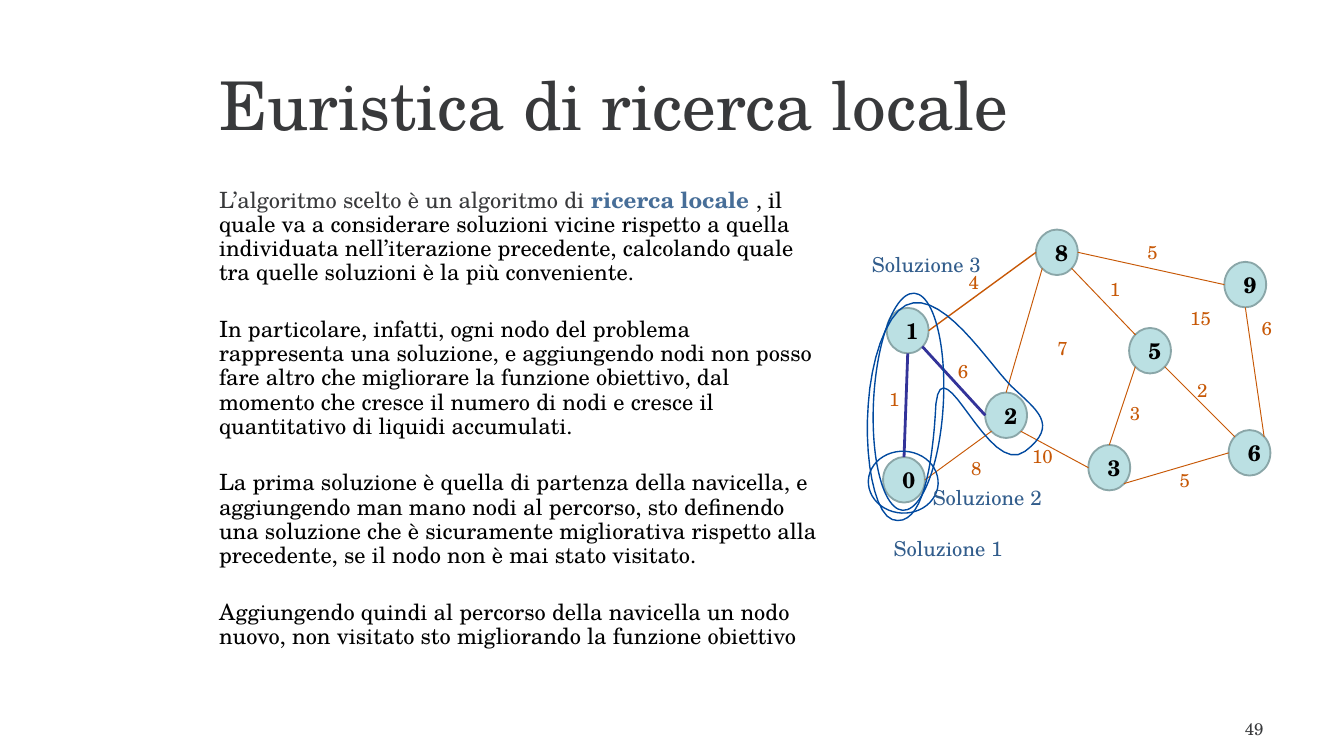
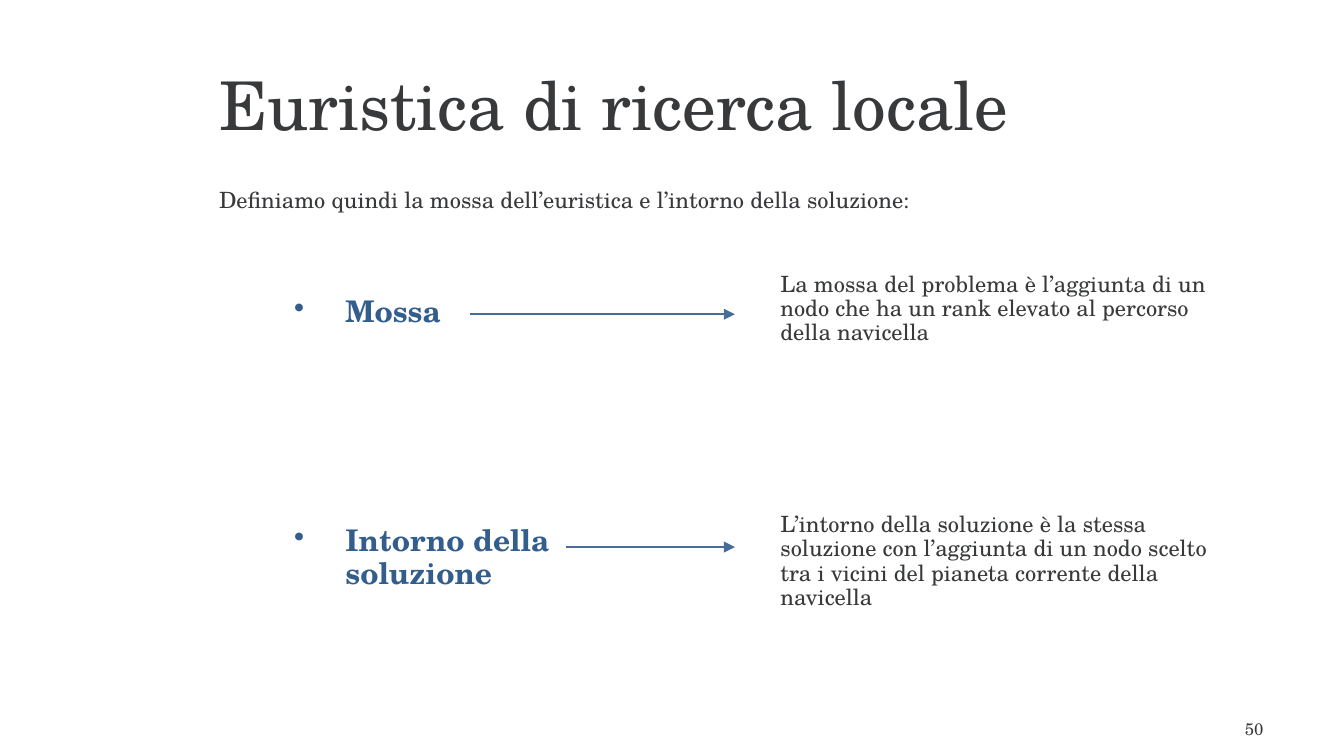
from collections import namedtuple

from lxml import etree
from pptx import Presentation
from pptx.dml.color import RGBColor
from pptx.enum.shapes import MSO_CONNECTOR, MSO_SHAPE
from pptx.enum.text import MSO_ANCHOR, PP_ALIGN
from pptx.oxml.ns import qn
from pptx.util import Cm, Pt

FONT = "TeX Gyre Schola"
GREY, BLACK, BLUE, NAVY = "38393B", "000000", "476E98", "325D8C"
ORANGE, VIOLET, OUTLINE = "C75806", "333399", "00499F"
NODE_FILL, NODE_LINE = "BBE0E3", "8AA6A8"

Style = namedtuple("Style", "size color bold", defaults=(False,))
TITLE = Style(36, GREY)
NUMBER = Style(9, GREY)
BODY = Style(12, GREY)
BODY_BLACK = Style(12, BLACK)
BODY_KEY = Style(12, BLUE, True)
NODE = Style(12, BLACK, True)
WEIGHT = Style(10, ORANGE)
SOLUTION = Style(11, NAVY)
TERM = Style(16, NAVY, True)

NODE_WIDTH, NODE_HEIGHT = 0.79, 0.86
NODES = {
    "0": (16.69, 8.64), "2": (18.62, 7.42), "3": (20.57, 8.41), "5": (21.34, 6.2),
    "9": (23.14, 4.95), "8": (19.58, 4.34), "1": (16.76, 5.82), "6": (23.22, 8.13),
}
NEAR, FAR = 0.15, 0.85
SITES = {
    "top": (0.5, 0), "left": (0, 0.5), "bottom": (0.5, 1), "right": (1, 0.5),
    "top left": (NEAR, NEAR), "top right": (FAR, NEAR),
    "bottom left": (NEAR, FAR), "bottom right": (FAR, FAR),
}
EDGES = [
    ("0", "top", "1", "bottom", VIOLET, 1.5),
    ("1", "bottom right", "2", "left", VIOLET, 1.5),
    ("8", "left", "1", "right", ORANGE, 0.75),
    ("0", "right", "2", "bottom left", ORANGE, 0.5),
    ("6", "top left", "5", "bottom right", ORANGE, 0.5),
    ("2", "bottom right", "3", "left", ORANGE, 0.5),
    ("8", "bottom left", "2", "top", ORANGE, 0.5),
    ("6", "top right", "9", "bottom", ORANGE, 0.5),
    ("8", "bottom right", "5", "top left", ORANGE, 0.5),
    ("3", "bottom right", "6", "left", ORANGE, 0.5),
    ("8", "right", "9", "left", ORANGE, 0.5),
    ("3", "top", "5", "bottom left", ORANGE, 0.5),
]
WEIGHTS = [
    ("1", 16.9, 7.26), ("5", 21.78, 4.47), ("10", 19.7, 8.33), ("8", 18.45, 8.56),
    ("7", 20.08, 6.3), ("3", 21.45, 7.52), ("2", 22.72, 7.09), ("1", 21.07, 5.18),
    ("6", 23.94, 5.92), ("15", 22.69, 5.72), ("4", 18.4, 5.05), ("5", 22.39, 8.79),
    ("6", 18.2, 6.73),
]
SOLUTIONS = [
    ("Soluzione 1", 17.92, 10.06), ("Soluzione 2", 18.66, 9.09), ("Soluzione 3", 17.51, 4.7),
]
SOLUTION_ELLIPSES = [(16.51, 5.54, 1.32, 4.11), (16.41, 8.53, 1.32, 1.17)]
SOLUTION_TILT = 3
SOLUTION_START = (16.76, 6.1)
SOLUTION_CURVES = [
    ((17.37, 5.03), (18.57, 6.78), (19.08, 7.24)),
    ((19.58, 7.67), (20.04, 7.92), (19.41, 8.46)),
    ((18.75, 9.02), (17.75, 6.5), (17.68, 7.65)),
    ((17.68, 8.84), (17.55, 10.03), (16.97, 9.88)),
    ((16.41, 9.7), (16.13, 7.19), SOLUTION_START),
]
CURVE_STEPS = 16

LOCAL_SEARCH = [
    [
        ("L’algoritmo scelto è un algoritmo di ", BODY),
        ("ricerca locale ", BODY_KEY),
        (", il quale va a considerare soluzioni vicine rispetto a quella individuata "
         "nell’iterazione precedente, calcolando quale tra quelle soluzioni è la più "
         "conveniente.", BODY_BLACK),
    ],
    [("In particolare, infatti, ogni nodo del problema rappresenta una soluzione, e "
      "aggiungendo nodi non posso fare altro che migliorare la funzione obiettivo, dal "
      "momento che cresce il numero di nodi e cresce il quantitativo di liquidi "
      "accumulati.", BODY_BLACK)],
    [("La prima soluzione è quella di partenza della navicella, e aggiungendo man mano "
      "nodi al percorso, sto definendo una soluzione che è sicuramente migliorativa "
      "rispetto alla precedente, se il nodo non è mai stato visitato.", BODY_BLACK)],
    [("Aggiungendo quindi al percorso della navicella un nodo nuovo, non visitato sto "
      "migliorando la funzione obiettivo", BODY_BLACK)],
]
DEFINITIONS = [
    (5.03, "La mossa del problema è l’aggiunta di un nodo che ha un rank elevato al "
           "percorso della navicella"),
    (9.58, "L’intorno della soluzione è la stessa soluzione con l’aggiunta di un nodo "
           "scelto tra i vicini del pianeta corrente della navicella"),
]
ARROWS = [(8.89, 5.94), (10.69, 10.34)]
ARROW_END = 13.89


def rgb(value):
    """Turn a hex string into a colour."""
    return RGBColor.from_string(value)


def set_line(line, color, width):
    """Give a line its colour and its width in points."""
    line.color.rgb = rgb(color)
    line.width = Pt(width)


def add_run(paragraph, text, style):
    """Add one run in the given style."""
    run = paragraph.add_run()
    run.text = text
    run.font.name = FONT
    run.font.size = Pt(style.size)
    run.font.bold = style.bold
    run.font.color.rgb = rgb(style.color)


def add_bullet(paragraph):
    """Give a paragraph a hanging bullet."""
    properties = paragraph._p.get_or_add_pPr()
    properties.set("marL", str(Cm(0.97)))
    properties.set("indent", str(-Cm(0.97)))
    etree.SubElement(properties, qn("a:buChar")).set("char", "•")


def add_text(slide, box, paragraphs, align=PP_ALIGN.LEFT, spacing=0.9, gap=0,
             anchor=MSO_ANCHOR.TOP, wrap=True, bullets=False):
    """Add a text box whose paragraphs are lists of (text, style) runs."""
    frame = slide.shapes.add_textbox(*map(Cm, box)).text_frame
    frame.word_wrap = wrap
    frame.vertical_anchor = anchor
    for index, runs in enumerate(paragraphs):
        paragraph = frame.add_paragraph() if index else frame.paragraphs[0]
        paragraph.alignment = align
        paragraph.line_spacing = spacing
        paragraph.space_before = Pt(gap if index else 0)
        if bullets:
            add_bullet(paragraph)
        for text, style in runs:
            add_run(paragraph, text, style)


def add_label(slide, text, style, center, top, width, height):
    """Add a one-line label centred on a given abscissa."""
    add_text(slide, (center - width / 2, top, width, height), [[(text, style)]],
             align=PP_ALIGN.CENTER, wrap=False)


def add_node(slide, name, left, top):
    """Add a numbered graph node."""
    shape = slide.shapes.add_shape(
        MSO_SHAPE.OVAL, Cm(left), Cm(top), Cm(NODE_WIDTH), Cm(NODE_HEIGHT))
    shape.shadow.inherit = False
    shape.fill.solid()
    shape.fill.fore_color.rgb = rgb(NODE_FILL)
    set_line(shape.line, NODE_LINE, 1)
    frame = shape.text_frame
    frame.margin_left = Cm(0.18)
    frame.margin_right = frame.margin_top = frame.margin_bottom = 0
    frame.vertical_anchor = MSO_ANCHOR.MIDDLE
    frame.paragraphs[0].alignment = PP_ALIGN.CENTER
    add_run(frame.paragraphs[0], name, NODE)


def add_line(slide, start, end, color, width, arrow=False):
    """Add a straight line, with an arrowhead at its end if asked."""
    connector = slide.shapes.add_connector(
        MSO_CONNECTOR.STRAIGHT, *map(Cm, start), *map(Cm, end))
    set_line(connector.line, color, width)
    if arrow:
        tail = etree.SubElement(connector.line._get_or_add_ln(), qn("a:tailEnd"))
        tail.set("type", "triangle")
    etree.SubElement(connector._element.spPr, qn("a:effectLst"))


def node_site(name, site):
    """Return the point of a node's border with the given name."""
    left, top = NODES[name]
    across, down = SITES[site]
    return left + across * NODE_WIDTH, top + down * NODE_HEIGHT


def style_outline(shape):
    """Make a shape a tilted, unfilled solution outline."""
    shape.shadow.inherit = False
    shape.fill.background()
    set_line(shape.line, OUTLINE, 0.75)
    shape.rotation = SOLUTION_TILT


def curve_points(start, curves):
    """Return points along a chain of cubic curves."""
    points = []
    for first, second, end in curves:
        for step in range(1, CURVE_STEPS + 1):
            t = step / CURVE_STEPS
            u = 1 - t
            points.append(tuple(
                Cm(u ** 3 * a + 3 * u * u * t * b + 3 * u * t * t * c + t ** 3 * d)
                for a, b, c, d in zip(start, first, second, end)))
        start = end
    return points


def add_solutions(slide):
    """Outline and name the three nested solutions."""
    for box in SOLUTION_ELLIPSES:
        style_outline(slide.shapes.add_shape(MSO_SHAPE.OVAL, *map(Cm, box)))
    builder = slide.shapes.build_freeform(*map(Cm, SOLUTION_START))
    builder.add_line_segments(curve_points(SOLUTION_START, SOLUTION_CURVES), close=True)
    style_outline(builder.convert_to_shape())
    for text, center, top in SOLUTIONS:
        add_label(slide, text, SOLUTION, center, top, 2.62, 0.71)


def add_graph(slide):
    """Draw the weighted graph."""
    for name, (left, top) in NODES.items():
        add_node(slide, name, left, top)
    for first, first_site, second, second_site, color, width in EDGES:
        add_line(slide, node_site(first, first_site), node_site(second, second_site),
                 color, width)
    for text, center, top in WEIGHTS:
        add_label(slide, text, WEIGHT, center, top, 0.44 + 0.25 * len(text), 0.5)


def add_slide(presentation, number):
    """Add a blank slide with the shared title and its page number."""
    slide = presentation.slides.add_slide(presentation.slide_layouts[6])
    add_text(slide, (3.89, 0.69, 20.4, 2.54), [[("Euristica di ricerca locale", TITLE)]],
             spacing=1, anchor=MSO_ANCHOR.MIDDLE)
    add_text(slide, (18.21, 13.46, 5.92, 0.56), [[(str(number), NUMBER)]],
             align=PP_ALIGN.RIGHT, spacing=1)
    return slide


def build_local_search(presentation):
    """Build the slide that explains local search on a graph."""
    slide = add_slide(presentation, 49)
    add_text(slide, (3.89, 3.45, 11.81, 9.09), LOCAL_SEARCH, gap=17.4)
    add_graph(slide)
    add_solutions(slide)


def build_definitions(presentation):
    """Build the slide that defines move and neighbourhood."""
    slide = add_slide(presentation, 50)
    intro = "Definiamo quindi la mossa dell’euristica e l’intorno della soluzione:"
    add_text(slide, (3.89, 3.45, 20.6, 0.56), [[(intro, BODY)]])
    add_text(slide, (5.31, 5.49, 5.41, 5.92),
             [[("Mossa", TERM)], [("Intorno della soluzione", TERM)]],
             gap=105.5, bullets=True)
    for start, height in ARROWS:
        add_line(slide, (start, height), (ARROW_END, height), BLUE, 1, arrow=True)
    for top, text in DEFINITIONS:
        add_text(slide, (14.5, top, 8.99, 1.8), [[(text, BODY)]])


def main():
    """Build and save the presentation."""
    presentation = Presentation()
    presentation.slide_width = Cm(25.4)
    presentation.slide_height = Cm(14.29)
    build_local_search(presentation)
    build_definitions(presentation)
    presentation.save("out.pptx")


if __name__ == "__main__":
    main()
